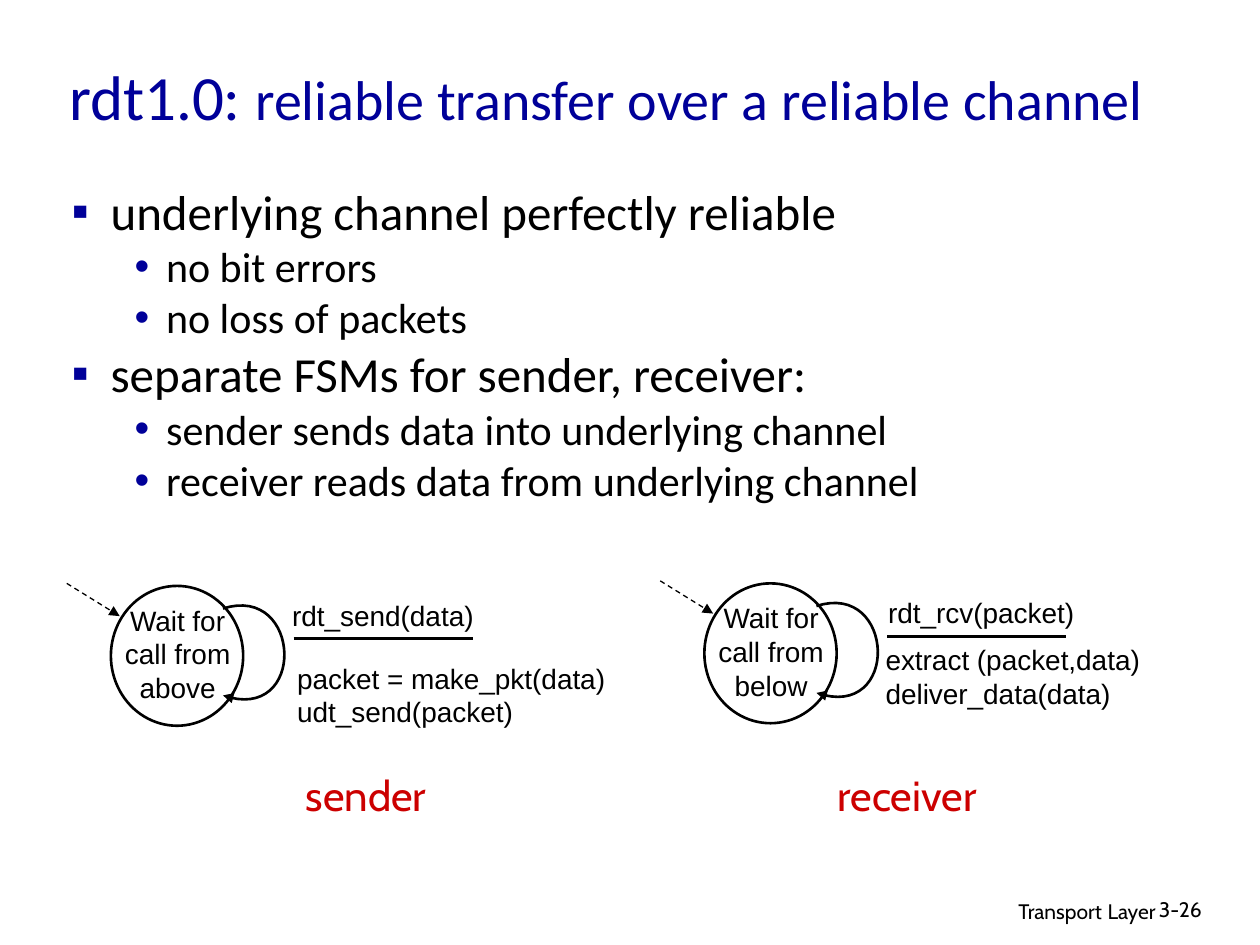
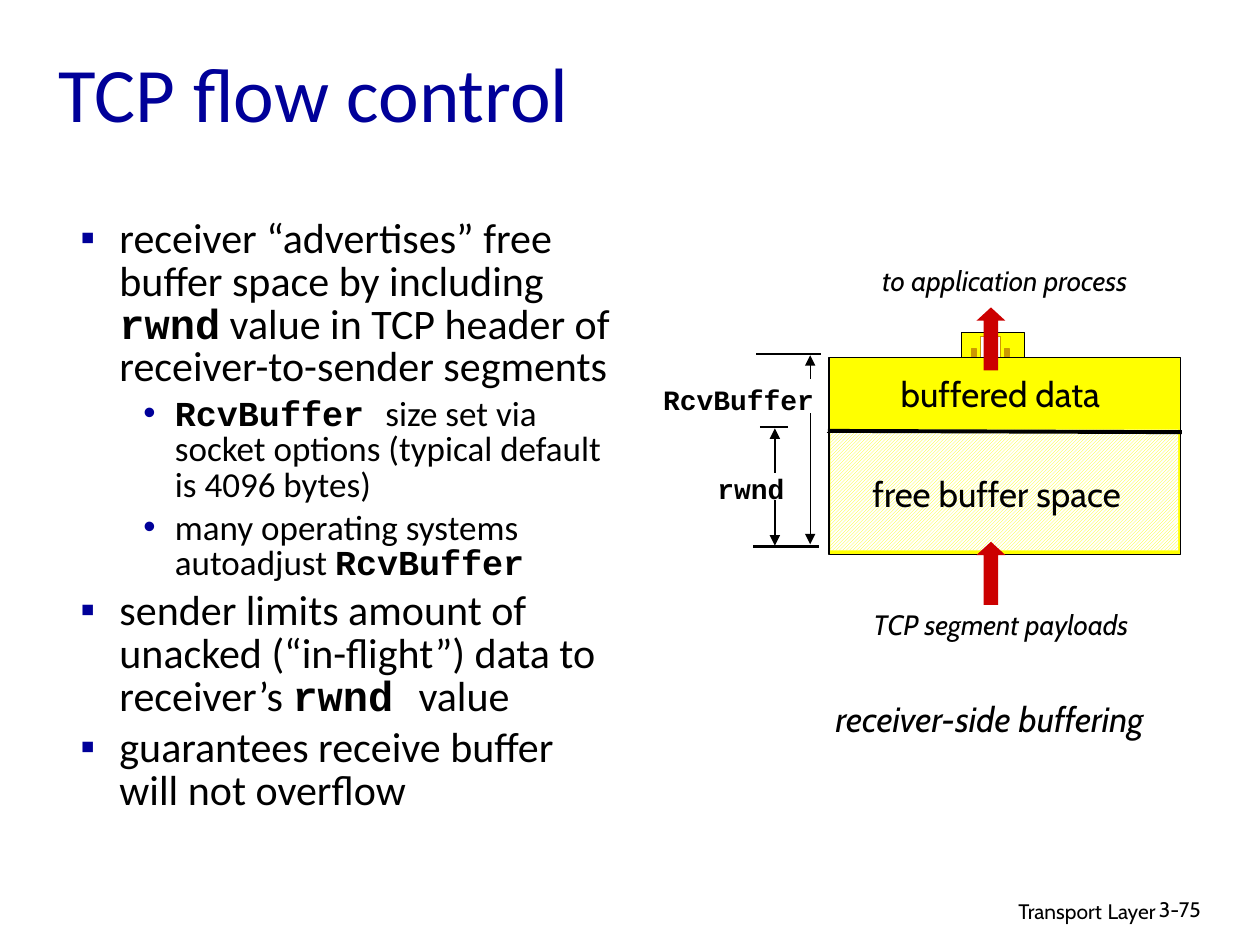
from dataclasses import dataclass

from lxml.etree import SubElement
from pptx import Presentation
from pptx.dml.color import RGBColor
from pptx.enum.dml import MSO_LINE, MSO_PATTERN
from pptx.enum.shapes import MSO_CONNECTOR, MSO_SHAPE
from pptx.enum.text import MSO_ANCHOR, MSO_AUTO_SIZE, PP_ALIGN
from pptx.oxml.ns import qn
from pptx.util import Inches, Pt


@dataclass(frozen=True)
class Theme:
    """Colours, fonts, type sizes and line widths of the deck."""
    ink: str = "000000"
    paper: str = "FFFFFF"
    navy: str = "000099"
    red: str = "CC0000"
    yellow: str = "FFFF00"
    gold: str = "CC9900"
    body: str = "Calibri"
    label: str = "Cabin"
    diagram: str = "Arial"
    code: str = "Courier New"
    title_size: int = 44
    long_title_size: int = 36
    subtitle_size: int = 32
    role_size: int = 24
    caption_size: int = 20
    note_size: int = 16
    footer_gap: int = 14
    footer_size: int = 12
    thin: float = 0.75
    medium: float = 1.5
    thick: float = 2.25


THEME = Theme()
CODE = {"font": THEME.code, "bold": True}


@dataclass(frozen=True)
class Box:
    """A rectangle in inches."""
    left: float
    top: float
    width: float
    height: float

    def inside(self, left, top, width, height):
        """Return a box placed relative to this one."""
        return Box(self.left + left, self.top + top, width, height)

    def point(self, x, y):
        """Return a point placed relative to this box."""
        return self.left + x, self.top + y

    def lengths(self):
        """Return the four measures as lengths."""
        return [Inches(n) for n in (self.left, self.top, self.width, self.height)]


def colour(code):
    """Turn a hex code into a colour."""
    return RGBColor.from_string(code)


def write(para, text, size=16, font=THEME.diagram, ink=THEME.ink, bold=False, italic=False):
    """Add one formatted span to a paragraph."""
    span = para.add_run()
    span.text = text
    span.font.size = Pt(size)
    span.font.name = font
    span.font.color.rgb = colour(ink)
    span.font.bold = bold
    span.font.italic = italic


def add_text(page, box, *paragraphs, align=PP_ALIGN.LEFT, anchor=MSO_ANCHOR.TOP,
             wrap=True, **style):
    """Add a text box; a paragraph is a string or a list of (text, format) spans."""
    frame = page.shapes.add_textbox(*box.lengths()).text_frame
    frame.word_wrap = wrap
    frame.vertical_anchor = anchor
    frame.auto_size = MSO_AUTO_SIZE.NONE if wrap else MSO_AUTO_SIZE.SHAPE_TO_FIT_TEXT
    for index, spans in enumerate(paragraphs):
        para = frame.add_paragraph() if index else frame.paragraphs[0]
        para.alignment = align
        for text, changes in [(spans, {})] if isinstance(spans, str) else spans:
            write(para, text, **{**style, **changes})
    return frame


def add_label(page, box, text, align=PP_ALIGN.CENTER, **style):
    """Add a one-line label that does not wrap."""
    add_text(page, box, text, align=align, wrap=False, **style)


def add_bullets(page, box, items, size):
    """Add a two-level list of (level, spans) with navy bullets."""
    sizes = (size, size - 4)
    frame = add_text(page, box, *(
        [(text, {"size": sizes[level], **changes}) for text, changes in spans]
        for level, spans in items), font=THEME.body)
    for para, (level, _) in zip(frame.paragraphs, items):
        para.level = level
        para.line_spacing = 0.85
        para.space_before = Pt(sizes[level] * 0.2)
        indent, hang, mark = ((0.31, 0.31, "▪"), (0.75, 0.25, "•"))[level]
        props = para._p.get_or_add_pPr()
        props.set("marL", str(Inches(indent)))
        props.set("indent", str(-Inches(hang)))
        tint = SubElement(props, qn("a:buClr"))
        SubElement(tint, qn("a:srgbClr"), val=THEME.navy)
        SubElement(props, qn("a:buFont"), typeface=THEME.diagram)
        SubElement(props, qn("a:buChar"), char=mark)


def set_line(shape, width, dash=None, head=False, tail=False):
    """Give a shape a black line with optional dash and arrowheads."""
    shape.line.color.rgb = colour(THEME.ink)
    shape.line.width = Pt(width)
    if dash:
        shape.line.dash_style = dash
    ln = shape.element.spPr.find(qn("a:ln"))
    for wanted, tag in ((head, "a:headEnd"), (tail, "a:tailEnd")):
        if wanted:
            SubElement(ln, qn(tag), type="triangle")


def add_line(page, start, end, width=THEME.medium, **style):
    """Add a straight line between two points."""
    line = page.shapes.add_connector(
        MSO_CONNECTOR.STRAIGHT, *(Inches(n) for n in (*start, *end)))
    set_line(line, width, **style)
    SubElement(line.element.spPr, qn("a:effectLst"))


def add_shape(page, kind, box, fill, line=None, width=THEME.thin):
    """Add a filled preset shape with an optional line."""
    shape = page.shapes.add_shape(kind, *box.lengths())
    shape.shadow.inherit = False
    shape.fill.solid()
    shape.fill.fore_color.rgb = colour(fill)
    if line:
        shape.line.color.rgb = colour(line)
        shape.line.width = Pt(width)
    else:
        shape.line.fill.background()
    return shape


def add_curve(page, corners, steps=32):
    """Add a cubic curve with an arrowhead at its end."""
    points = []
    for step in range(steps + 1):
        t = step / steps
        weights = ((1 - t) ** 3, 3 * t * (1 - t) ** 2, 3 * t * t * (1 - t), t ** 3)
        points.append(tuple(Inches(sum(w * n for w, n in zip(weights, axis)))
                            for axis in zip(*corners)))
    builder = page.shapes.build_freeform(*points[0])
    builder.add_line_segments(points[1:], close=False)
    curve = builder.convert_to_shape()
    curve.shadow.inherit = False
    curve.fill.background()
    set_line(curve, THEME.medium, tail=True)


def add_page(deck, title, title_box, number):
    """Add a blank page with its title and footer."""
    page = deck.slides.add_slide(deck.slide_layouts[6])
    footer = [("Transport", {}), (" ", {"size": THEME.footer_gap}), ("Layer", {})]
    style = {"size": THEME.footer_size, "font": THEME.label}
    add_text(page, Box(6.1, 7.05, 3.17, 0.31), footer, align=PP_ALIGN.RIGHT, **style)
    add_text(page, Box(9.1, 7.07, 0.74, 0.3), number, **style)
    add_text(page, title_box, title, anchor=MSO_ANCHOR.MIDDLE, size=THEME.title_size,
             font=THEME.body, ink=THEME.navy)
    return page


def add_state_machine(page, box, state, event, event_left, actions, actions_at):
    """Draw one state with its entry arrow, loop, event and actions."""
    add_shape(page, MSO_SHAPE.OVAL, box.inside(0.35, 0.02, 1.05, 1.11),
              THEME.paper, THEME.ink, THEME.medium)
    add_text(page, box.inside(0.28, 0.11, 1.2, 1), state, align=PP_ALIGN.CENTER)
    add_curve(page, [box.point(*corner) for corner in
                     ((1.24, 0.2), (1.87, 0), (1.91, 1.12), (1.24, 0.89))])
    add_line(page, box.point(0, 0), box.point(0.42, 0.26), THEME.thin,
             dash=MSO_LINE.DASH, tail=True)
    add_line(page, box.point(1.8, 0.44), box.point(3.22, 0.44))
    add_text(page, box.inside(event_left, 0.07, 2.47, 0.47), event)
    add_text(page, box.inside(*actions_at, 2.93, 0.65), *actions)


def add_receive_buffer(page, box):
    """Draw the receive buffer with its ports, flow arrows and labels."""
    for port, fill, line in (((2.63, 0.64, 0.5, 0.23), THEME.yellow, THEME.ink),
                             ((2.78, 0.67, 0.16, 0.17), THEME.paper, THEME.gold),
                             ((2.97, 0.77, 0.04, 0.06), THEME.gold, THEME.gold),
                             ((2.71, 0.77, 0.04, 0.06), THEME.gold, THEME.gold),
                             ((1.58, 0.84, 2.79, 1.56), THEME.yellow, THEME.ink)):
        add_shape(page, MSO_SHAPE.RECTANGLE, box.inside(*port), fill, line)
    add_line(page, box.point(1.56, 1.43), box.point(4.37, 1.43), THEME.thin)
    free = add_shape(page, MSO_SHAPE.RECTANGLE, box.inside(1.59, 1.41, 2.76, 0.96), THEME.paper)
    free.fill.patterned()
    free.fill.pattern = MSO_PATTERN.DARK_UPWARD_DIAGONAL
    free.fill.fore_color.rgb = colour(THEME.yellow)
    free.fill.back_color.rgb = colour(THEME.paper)
    for top in (0.44, 2.3):
        arrow = add_shape(page, MSO_SHAPE.UP_ARROW, box.inside(2.75, top, 0.23, 0.5), THEME.red)
        arrow.adjustments[1] = 0.46
    add_line(page, box.point(1.57, 1.42), box.point(4.38, 1.43), THEME.thick)
    caption = {"size": THEME.caption_size, "font": THEME.label}
    note = {"size": THEME.note_size, "font": THEME.label, "italic": True}
    for place, text, style in (
            ((2.01, 0.91, 1.86, 0.43), "buffered data", caption),
            ((1.77, 1.7, 2.28, 0.43), "free buffer space", caption),
            ((1.73, 2.77, 2.43, 0.37), "TCP segment payloads", note),
            ((1.81, 0.04, 2.33, 0.37), "to application process", note),
            ((1.38, 3.49, 2.95, 0.43), "receiver-side buffering", {**caption, "italic": True})):
        add_label(page, box.inside(*place), text, **style)


def add_gauges(page, box):
    """Draw the two measures beside the buffer."""
    add_label(page, box.inside(0.59, 1.69, 0.74, 0.37), "rwnd", **CODE)
    add_label(page, box.inside(0.16, 0.99, 1.4, 0.37), "RcvBuffer",
              align=PP_ALIGN.RIGHT, **CODE)
    for left, right, y in ((0.98, 1.5, 2.34), (1.03, 1.25, 1.39), (1, 1.52, 0.81)):
        add_line(page, box.point(left, y), box.point(right, y))
    for x, tip, end in ((1.15, 1.4, 1.75), (1.15, 2.33, 1.97),
                        (1.43, 0.82, 1.01), (1.43, 2.32, 1.28)):
        add_line(page, box.point(x, tip), box.point(x, end), THEME.thin, head=True)


def build_reliable_channel(deck):
    """Build the page on transfer over a reliable channel."""
    title = [("rdt1.0: ", {"size": THEME.long_title_size}),
             ("reliable transfer over a reliable channel", {"size": THEME.subtitle_size})]
    page = add_page(deck, title, Box(0.45, 0.21, 8.75, 1.1), "3-26")
    add_bullets(page, Box(0.47, 1.46, 8.64, 3.3), [
        (level, [(text, {})]) for level, text in (
            (0, "underlying channel perfectly reliable"),
            (1, "no bit errors"),
            (1, "no loss of packets"),
            (0, "separate FSMs for sender, receiver:"),
            (1, "sender sends data into underlying channel"),
            (1, "receiver reads data from underlying channel"))], 28)
    add_state_machine(page, Box(0.53, 4.63, 4.66, 1.22), "Wait for call from above",
                      "rdt_send(data)", 1.69,
                      ("packet = make_pkt(data)", "udt_send(packet)"), (1.73, 0.57))
    add_state_machine(page, Box(5.24, 4.61, 4.41, 1.22), "Wait for call from below",
                      "rdt_rcv(packet)", 1.71,
                      ("extract (packet,data)", "deliver_data(data)"), (1.69, 0.44))
    for left, width, role in ((2.31, 1.19, "sender"), (6.52, 1.36, "receiver")):
        add_label(page, Box(left, 6.06, width, 0.5), role, size=THEME.role_size,
                  font=THEME.label, ink=THEME.red)


def build_flow_control(deck):
    """Build the page on flow control."""
    page = add_page(deck, "TCP flow control", Box(0.37, 0.19, 8.5, 1.07), "3-75")
    diagram = Box(5, 2, 4.4, 4)
    add_receive_buffer(page, diagram)
    add_gauges(page, diagram)
    add_bullets(page, Box(0.54, 1.69, 4.43, 5.37), [
        (0, [("receiver “advertises” free buffer space by including ", {}), ("rwnd", CODE),
             (" value in TCP header of receiver-to-sender segments", {})]),
        (1, [("RcvBuffer ", CODE),
             ("size set via socket options (typical default is 4096 bytes)", {})]),
        (1, [("many operating systems autoadjust ", {}), ("RcvBuffer", CODE)]),
        (0, [("sender limits amount of unacked (“in-flight”) data to receiver’s ", {}),
             ("rwnd ", CODE), ("value", {})]),
        (0, [("guarantees receive buffer will not overflow", {})])], 24)


def main():
    """Build and save the deck."""
    deck = Presentation()
    deck.slide_width, deck.slide_height = Inches(10), Inches(7.5)
    build_reliable_channel(deck)
    build_flow_control(deck)
    deck.save("out.pptx")


if __name__ == "__main__":
    main()
